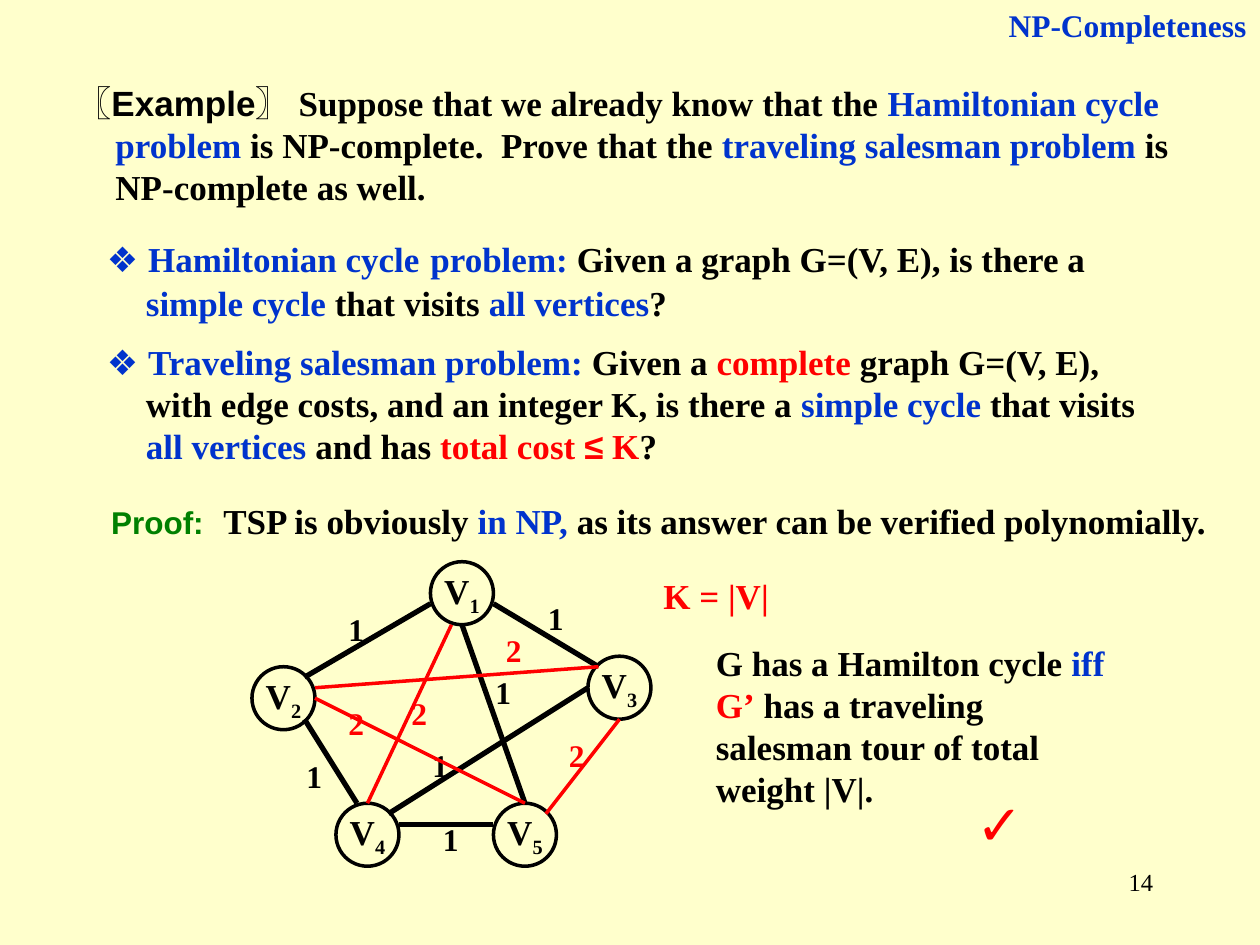
import pptx
import pptx.util
import pptx.dml.color
import pptx.enum.shapes
import pptx.enum.text
import pptx.oxml.ns
import lxml.etree

COLUMNS, ROWS = 120, 90
BLACK, BLUE, RED, GREEN, CREAM = "000000", "0033CC", "FF0000", "008000", "FFFFCC"
SERIF, SANS, CJK = "Times New Roman", "Arial", "Noto Sans CJK SC"
ALIGN = pptx.enum.text.PP_ALIGN

deck = pptx.Presentation()
deck.slide_width = pptx.util.Inches(10)
deck.slide_height = pptx.util.Inches(7.5)


def across(columns):
    return round(deck.slide_width * columns / COLUMNS)


def down(rows):
    return round(deck.slide_height * rows / ROWS)


def place(area):
    left, top, width, height = area
    return across(left), down(top), across(width), down(height)


def paint(target, color):
    """Give a fill or a line one solid colour."""
    target.solid()
    target.fore_color.rgb = pptx.dml.color.RGBColor.from_string(color)


def add_span(para, text, color=BLACK, font=SERIF, size=20, bold=True):
    span = para.add_run()
    span.text = text
    span.font.name = font
    span.font.size = pptx.util.Pt(size)
    span.font.bold = bold
    paint(span.font.fill, color)
    east_asian = lxml.etree.SubElement(span.font._element, pptx.oxml.ns.qn("a:ea"))
    east_asian.set("typeface", font)
    return span


def add_text(page, area, spans, align=ALIGN.LEFT, wrap=True, hanging=0):
    box = page.shapes.add_textbox(*place(area))
    box.text_frame.word_wrap = wrap
    para = box.text_frame.paragraphs[0]
    para.alignment = align
    if hanging:
        properties = para._p.get_or_add_pPr()
        properties.set("marL", str(pptx.util.Inches(hanging)))
        properties.set("indent", str(-pptx.util.Inches(hanging)))
    for span in spans:
        add_span(para, *span)


def add_vertex(page, area, number):
    circle = page.shapes.add_shape(
        pptx.enum.shapes.MSO_SHAPE.OVAL, *place(area))
    circle.shadow.inherit = False
    circle.fill.background()
    paint(circle.line.fill, BLACK)
    circle.line.width = pptx.util.Pt(2)
    frame = circle.text_frame
    frame.word_wrap = False
    frame.margin_left = frame.margin_right = frame.margin_top = frame.margin_bottom = 0
    frame.vertical_anchor = pptx.enum.text.MSO_ANCHOR.MIDDLE
    para = frame.paragraphs[0]
    para.alignment = ALIGN.CENTER
    add_span(para, "V")
    add_span(para, number).font._element.set("baseline", "-25000")


def add_edge(page, start, end, color, weight):
    edge = page.shapes.add_connector(
        pptx.enum.shapes.MSO_CONNECTOR.STRAIGHT,
        across(start[0]), down(start[1]), across(end[0]), down(end[1]))
    paint(edge.line.fill, color)
    edge.line.width = pptx.util.Pt(weight)
    lxml.etree.SubElement(edge._element.spPr, pptx.oxml.ns.qn("a:effectLst"))


def add_graph(page, left, top):
    """Draw the complete graph; cycle edges cost 1, added edges cost 2."""
    vertices = [(17, 0), (0, 10), (32, 9), (8, 23), (23, 23)]
    for number, (x, y) in enumerate(vertices, start=1):
        add_vertex(page, (left + x, top + y, 6, 6), str(number))

    original_edges = [(17, 4, 5, 11), (32, 12, 13, 24), (23, 4, 33, 10),
                      (5, 15, 10, 23), (14, 25, 23, 25), (20, 6, 26, 23)]
    original_labels = [(4, 18), (17, 24), (16, 17), (8, 4), (22, 10), (27, 3)]
    added_edges = [(19, 6, 11, 23), (6, 12, 33, 10),
                   (35, 15, 28, 24), (6, 13, 26, 23)]
    added_labels = [(23, 6), (29, 16), (14, 12), (8, 13)]
    for cost, color, weight, edges, labels in (
            ("1", BLACK, 3, original_edges, original_labels),
            ("2", RED, 2, added_edges, added_labels)):
        for x1, y1, x2, y2 in edges:
            add_edge(page, (left + x1, top + y1), (left + x2, top + y2), color, weight)
        for x, y in labels:
            add_text(page, (left + x, top + y, 4, 4.8), [(cost, color, SERIF, 18)])


def add_statement(page, left, top):
    """Place the example and the definitions of both problems."""
    add_text(page, (left, top, 108, 13.2), [
        ("〖", BLACK, CJK), ("Example", BLACK, SANS), ("〗 ", BLACK, CJK),
        ("Suppose that we already know that the ",),
        ("Hamiltonian cycle problem ", BLUE),
        ("is NP-complete.  Prove that the ",),
        ("traveling salesman problem", BLUE),
        (" is NP-complete as well.",)], hanging=0.31)
    add_text(page, (left + 2.9, top + 14.2, 102, 10), [
        ("❖ ", BLUE, SANS), ("Hamiltonian cycle", BLUE),
        (" ", BLACK, SERIF, 24, False), ("problem: ", BLUE),
        ("Given a graph G=(V, E), is there a ",), ("simple cycle", BLUE),
        (" that visits ",), ("all vertices", BLUE), ("?",)], hanging=0.31)
    add_text(page, (left + 2.9, top + 24.6, 102, 13.2), [
        ("❖ ", BLUE, SANS), ("Traveling salesman problem: ", BLUE),
        ("Given a ",), ("complete", RED),
        (" graph G=(V, E), with edge costs, and an integer K, is there a ",),
        ("simple cycle", BLUE), (" that visits ",), ("all vertices", BLUE),
        (" and has ",), ("total cost ", RED), ("≤", RED, SANS), (" K", RED),
        ("?",)], hanging=0.31)


def add_proof(page, left, top):
    add_text(page, (left, top, 110, 5.3), [
        ("Proof:", GREEN, SANS, 18), ("  ", GREEN, SANS),
        ("TSP is obviously ",), ("in NP,", BLUE),
        (" as its answer can be verified polynomially.",)], hanging=0.93)
    add_graph(page, left + 14.6, top + 6.5)
    add_text(page, (left + 52.6, top + 7.1, 12.5, 5.3), [("K = |V|", RED)], wrap=False)
    add_text(page, (left + 57.6, top + 13.5, 41, 17.3), [
        ("G has a Hamilton cycle ",), ("iff ", BLUE), ("G’", RED),
        (" has a traveling salesman tour of total weight |V|.",)])
    add_text(page, (left + 81.8, top + 27.6, 8, 7.7),
             [("✓", RED, SANS, 32)], ALIGN.CENTER)


def add_margins(page):
    """Place the running title and the page number."""
    add_text(page, (84.4, 0, 35.5, 4.8),
             [("NP-Completeness", BLUE, SERIF, 18)], ALIGN.RIGHT)
    add_text(page, (86, 82, 25, 6), [("14", BLACK, SERIF, 14, False)], ALIGN.RIGHT)


def main():
    page = deck.slides.add_slide(deck.slide_layouts[6])
    paint(page.background.fill, CREAM)
    add_margins(page)
    add_statement(page, 6.1, 7.2)
    add_proof(page, 9.4, 47)
    deck.save("out.pptx")


if __name__ == "__main__":
    main()
